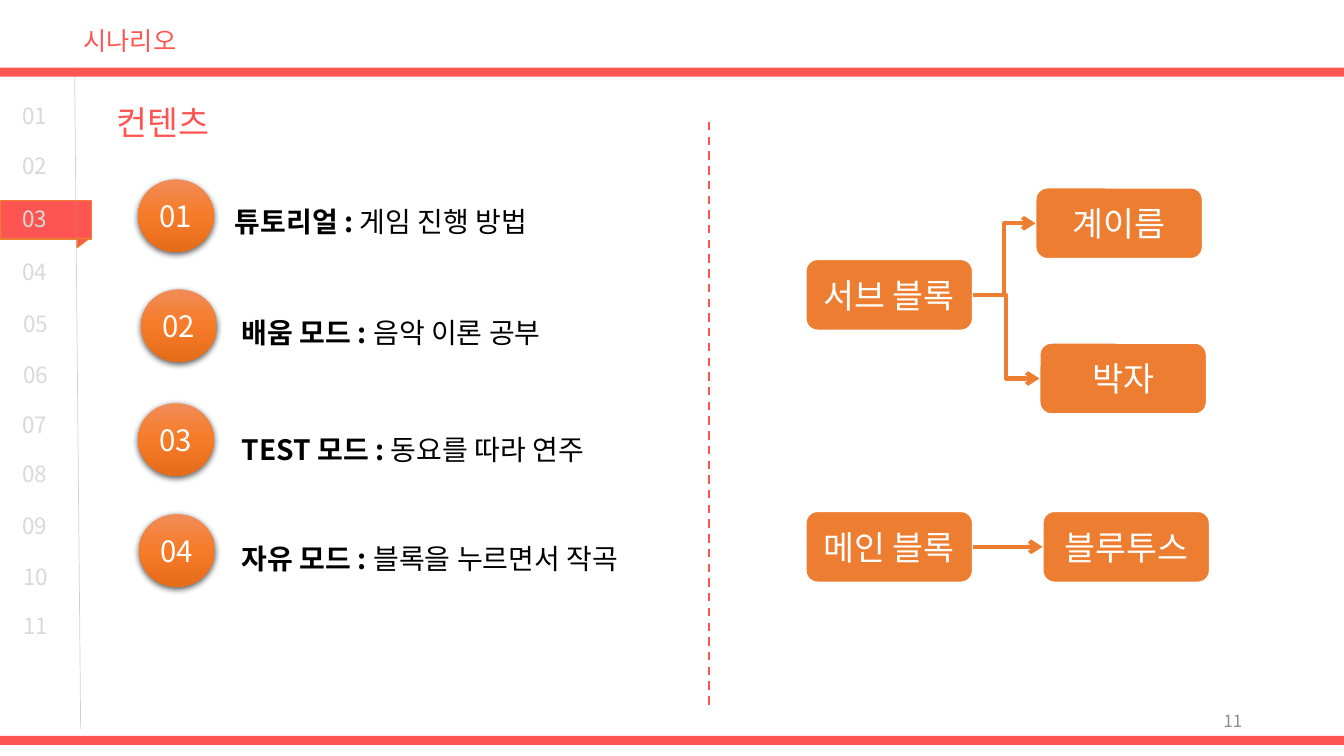
from copy import deepcopy
from typing import NamedTuple

from lxml.etree import SubElement
from pptx import Presentation
from pptx.dml.color import RGBColor
from pptx.enum.dml import MSO_LINE
from pptx.enum.shapes import MSO_CONNECTOR, MSO_SHAPE
from pptx.enum.text import MSO_ANCHOR, MSO_AUTO_SIZE, PP_ALIGN
from pptx.oxml.ns import qn
from pptx.util import Pt

SCALE = 9144
FONT = "Noto Sans CJK KR"
RED = RGBColor(0xFF, 0x55, 0x52)
ORANGE = RGBColor(0xED, 0x7D, 0x31)
WHITE = RGBColor(0xFF, 0xFF, 0xFF)
BLACK = RGBColor(0, 0, 0)
PALE = RGBColor(0xD9, 0xD9, 0xD9)
GREY = RGBColor(0x8C, 0x8C, 0x8C)
RULE = RGBColor(0xA6, 0xA6, 0xA6)
GLOSS = ((0, RGBColor(0xF1, 0x8C, 0x57)), (0.5, RGBColor(0xF6, 0x7B, 0x28)),
         (1, RGBColor(0xE5, 0x6C, 0x19)))


class Box(NamedTuple):
    """Frame in px, 100 to the inch."""
    left: int
    top: int
    width: int
    height: int

    def emu(self) -> list[int]:
        """Give the frame in EMU."""
        return [side * SCALE for side in self]


class Mode(NamedTuple):
    """Numbered mode with its disc and label places."""
    disc: Box
    label: Box
    name: str
    note: str


class Block(NamedTuple):
    """Block of the diagram."""
    left: int
    top: int
    name: str


class Link(NamedTuple):
    """Arrow from one block to another."""
    start: str
    end: str
    kind: MSO_CONNECTOR


MODES = (
    Mode(Box(137, 178, 75, 72), Box(223, 181, 466, 56), "튜토리얼 : ", "게임 진행 방법"),
    Mode(Box(140, 287, 75, 72), Box(230, 291, 365, 56), "배움 모드 : ", "음악 이론 공부"),
    Mode(Box(137, 400, 75, 72), Box(230, 408, 394, 56), "TEST 모드 : ", "동요를 따라 연주"),
    Mode(Box(138, 510, 75, 72), Box(230, 516, 411, 56), "자유 모드 : ", "블록을 누르면서 작곡"),
)
BLOCKS = (
    Block(799, 507, "메인 블록"), Block(1027, 186, "계이름"), Block(1031, 340, "박자"),
    Block(799, 257, "서브 블록"), Block(1034, 507, "블루투스"),
)
LINKS = (
    Link("서브 블록", "계이름", MSO_CONNECTOR.ELBOW),
    Link("서브 블록", "박자", MSO_CONNECTOR.ELBOW),
    Link("메인 블록", "블루투스", MSO_CONNECTOR.STRAIGHT),
)
INDEX = ((12, 96), (12, 146), (12, 199), (12, 251), (13, 303), (13, 353),
         (12, 403), (12, 452), (12, 503), (13, 554), (13, 602))


def tint(node, color: RGBColor, alpha: int):
    """Give a node a colour of the given percent opacity."""
    part = SubElement(node, qn("a:srgbClr"), val=str(color))
    SubElement(part, qn("a:alpha"), val=str(alpha * 1000))


def write(shape, *runs: str, size: int, color: RGBColor, lead: bool = False,
          align=PP_ALIGN.LEFT, anchor=MSO_ANCHOR.TOP, space: float | None = None,
          edge: bool = False):
    """Fill a shape with one paragraph, its first run bold if lead is set."""
    frame = shape.text_frame
    frame.word_wrap = True
    frame.vertical_anchor = anchor
    line = frame.paragraphs[0]
    line.alignment = align
    line.line_spacing = space
    for order, text in enumerate(runs):
        run = line.add_run()
        run.text = text
        font = run.font
        font.name, font.size, font.bold = FONT, Pt(size), lead and order == 0
        font.color.rgb = color
        props = run._r.get_or_add_rPr()
        SubElement(props, qn("a:ea"), typeface=FONT)
        if edge:
            rim = SubElement(props, qn("a:ln"), w=str(Pt(0.75)))
            tint(SubElement(rim, qn("a:solidFill")), BLACK, 30)
            props.insert(0, rim)


def label(slide, box: Box, *runs: str, grow: bool = True, **form):
    """Add a text box."""
    shape = slide.shapes.add_textbox(*box.emu())
    write(shape, *runs, **form)
    shape.text_frame.auto_size = (
        MSO_AUTO_SIZE.SHAPE_TO_FIT_TEXT if grow else MSO_AUTO_SIZE.NONE)


def solid(slide, kind: MSO_SHAPE, box: Box, fill: RGBColor,
          edge: RGBColor | None = None, width: float = 1):
    """Add a plain filled shape."""
    shape = slide.shapes.add_shape(kind, *box.emu())
    shape.shadow.inherit = False
    shape.fill.solid()
    shape.fill.fore_color.rgb = fill
    if edge is None:
        shape.line.fill.background()
    else:
        shape.line.color.rgb = edge
        shape.line.width = Pt(width)
    return shape


def disc(slide, box: Box, text: str):
    """Add a glossy numbered disc with a soft shadow."""
    shape = solid(slide, MSO_SHAPE.OVAL, box, ORANGE)
    shape.fill.gradient()
    shape.fill.gradient_angle = 270
    props = shape._element.spPr
    stops = props.find(".//" + qn("a:gsLst"))
    stops.append(deepcopy(stops[-1]))
    for stop, (place, color) in zip(shape.fill.gradient_stops, GLOSS):
        stop.position = place
        stop.color.rgb = color
    shade = SubElement(props.find(qn("a:effectLst")), qn("a:outerShdw"),
                       blurRad=str(Pt(4.5)), dist=str(Pt(1.5)), dir="5400000",
                       rotWithShape="0")
    tint(shade, BLACK, 63)
    write(shape, text, size=21, color=WHITE, align=PP_ALIGN.CENTER,
          anchor=MSO_ANCHOR.MIDDLE)


def stroke(slide, ends: tuple[int, int, int, int], color: RGBColor, width: float,
           kind=MSO_CONNECTOR.STRAIGHT):
    """Add a line without shadow."""
    line = slide.shapes.add_connector(kind, *[end * SCALE for end in ends])
    line.line.color.rgb = color
    line.line.width = Pt(width)
    SubElement(line._element.spPr, qn("a:effectLst"))
    return line


def frame(slide):
    """Draw the bars, side index and headings."""
    solid(slide, MSO_SHAPE.RECTANGLE, Box(0, 199, 91, 38), RED, ORANGE)
    fold = solid(slide, MSO_SHAPE.RIGHT_TRIANGLE, Box(78, 235, 9, 12), RED, ORANGE)
    fold.rotation = 90
    side = stroke(slide, (74, 67, 80, 723), RULE, 0.5)
    tone = side._element.spPr.find(".//" + qn("a:srgbClr"))
    SubElement(tone, qn("a:alpha"), val="50000")
    for top in (730, 67):
        solid(slide, MSO_SHAPE.RECTANGLE, Box(0, top, 1333, 9), RED)
    for count, (left, top) in enumerate(INDEX, 1):
        label(slide, Box(left, top, 49, 37), f"{count:02}", size=16, color=PALE, edge=True)
    label(slide, Box(73, 20, 404, 41), "시나리오", size=18, color=RED)
    label(slide, Box(106, 96, 371, 50), "컨텐츠", size=24, color=RED)
    label(slide, Box(942, 695, 300, 40), "11", grow=False, size=12, color=GREY,
          align=PP_ALIGN.RIGHT, anchor=MSO_ANCHOR.MIDDLE)
    split = stroke(slide, (703, 121, 703, 702), RED, 1.5)
    split.line.dash_style = MSO_LINE.DASH


def chart(slide):
    """Draw the blocks and the arrows that join them."""
    nodes = {}
    for block in BLOCKS:
        box = Box(block.left, block.top, 166, 71)
        node = solid(slide, MSO_SHAPE.ROUNDED_RECTANGLE, box, ORANGE, WHITE, 1.5)
        write(node, block.name, size=24, color=WHITE, align=PP_ALIGN.CENTER,
              anchor=MSO_ANCHOR.MIDDLE)
        nodes[block.name] = node
    for link in LINKS:
        line = stroke(slide, (0, 0, 0, 0), ORANGE, 3, link.kind)
        line.begin_connect(nodes[link.start], 3)
        line.end_connect(nodes[link.end], 1)
        SubElement(line.line._get_or_add_ln(), qn("a:tailEnd"), type="arrow")


def main():
    """Build and save the slide."""
    deck = Presentation()
    deck.slide_width, deck.slide_height = 1333 * SCALE, 750 * SCALE
    slide = deck.slides.add_slide(deck.slide_layouts[6])
    frame(slide)
    chart(slide)
    for count, mode in enumerate(MODES, 1):
        disc(slide, mode.disc, f"{count:02}")
        label(slide, mode.label, mode.name, mode.note, size=20, color=BLACK,
              lead=True, space=1.5)
    deck.save("out.pptx")


if __name__ == "__main__":
    main()
